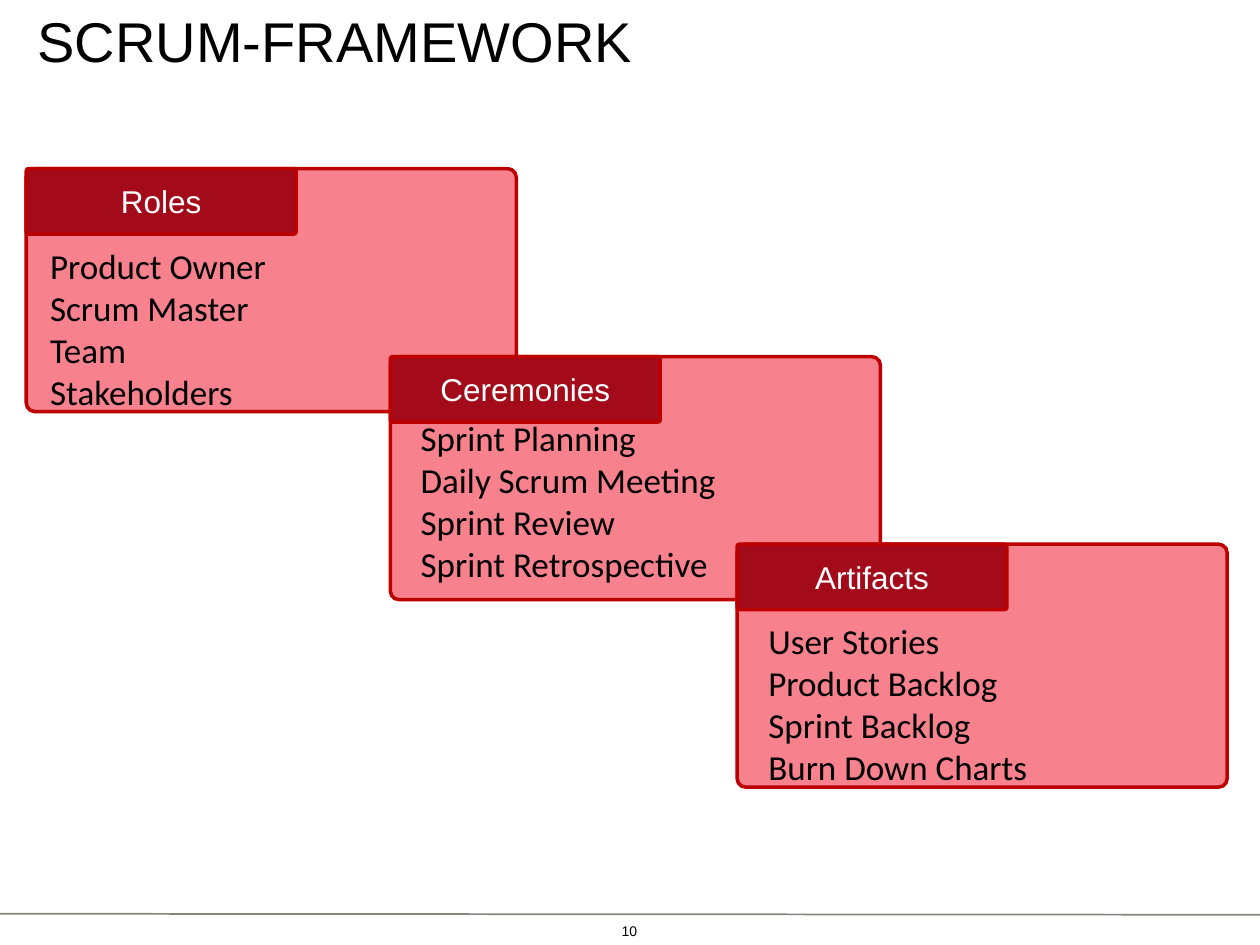
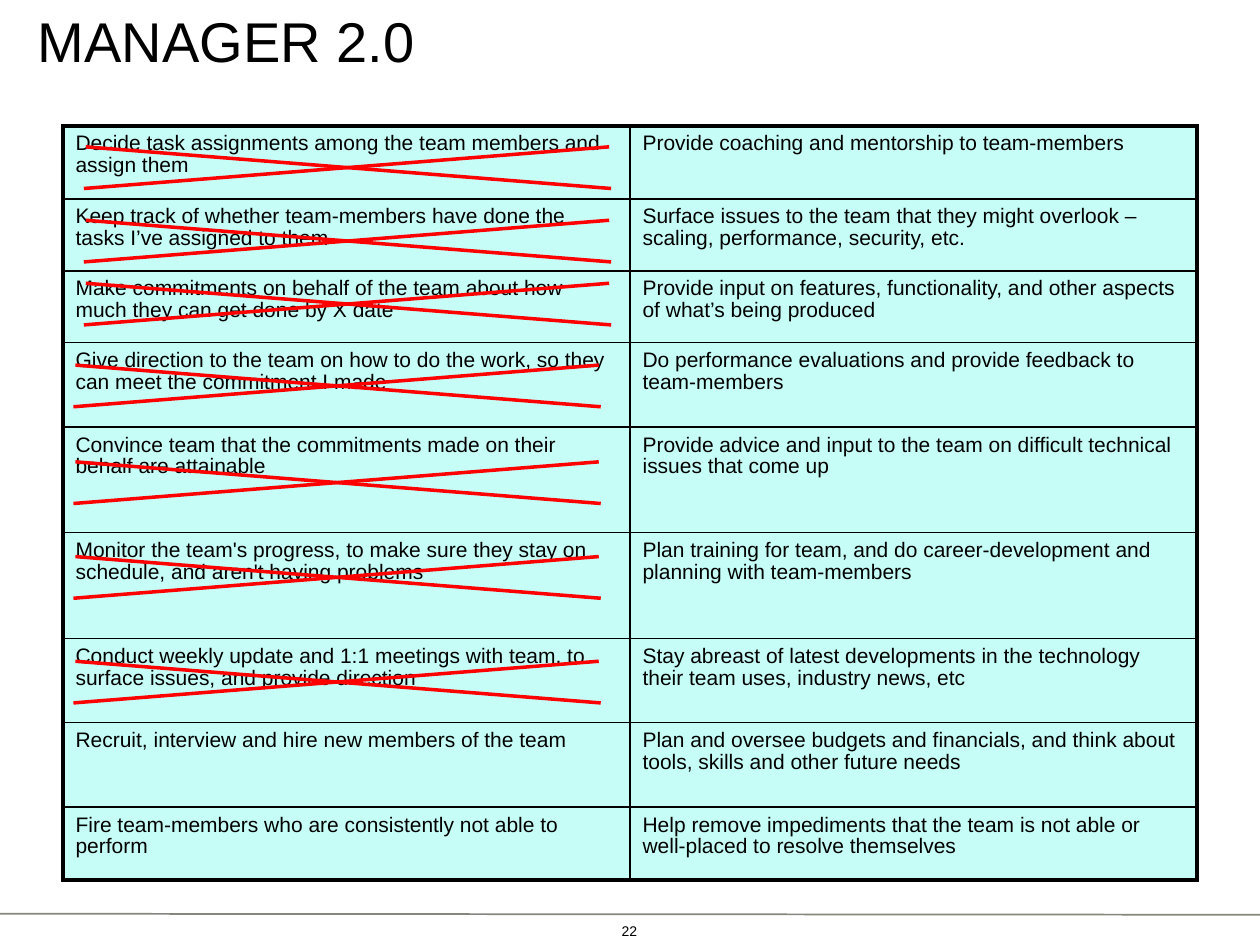
from dataclasses import dataclass

from lxml import etree
from pptx import Presentation
from pptx import util as u
from pptx.dml import color
from pptx.enum import shapes, text
from pptx.oxml import ns

HUES = {
    "ink": "000000", "white": "FFFFFF", "rule": "87867E",
    "card": "F7818D", "tab": "A30B1A", "edge": "BC0000",
    "cell": "C6FEF7", "cross": "FF0000",
}
THICK, THIN = 2.15, 0.91


@dataclass
class Card:
    """One framework part; places and sizes in centimetres."""
    name: str
    left: float
    top: float
    items: list[str]
    indent: float
    drop: float
    width: float


@dataclass
class Duty:
    """A table row; a cross at (cross_x, cross_y) strikes the old duty."""
    old: str
    new: str
    height: float
    cross_x: float = 0
    cross_y: float = 0


CARDS = [
    Card("Roles", 0.53, 3.4,
         ["Product Owner", "Scrum Master", "Team", "Stakeholders"],
         0.23, 1.4, 7.7),
    Card("Ceremonies", 7.87, 7.19,
         ["Sprint Planning", "Daily Scrum Meeting", "Sprint Review", "Sprint Retrospective"],
         0.36, 1.09, 8.69),
    Card("Artifacts", 14.86, 10.97,
         ["User Stories", "Product Backlog", "Sprint Backlog", "Burn Down Charts"],
         0.38, 1.4, 8.51),
]

DUTIES = [
    Duty("Decide task assignments among the team members and assign them",
         "Provide coaching and mentorship to team-members", 1.47, 1.73, 2.96),
    Duty("Keep track of whether team-members have done the tasks I’ve assigned to them",
         "Surface issues to the team that they might overlook – scaling, performance, security, etc.",
         1.45, 1.73, 4.44),
    Duty("Make commitments on behalf of the team about how much they can get done by X date",
         "Provide input on features, functionality, and other aspects of what’s being produced",
         1.45, 1.73, 5.71),
    Duty("Give direction to the team on how to do the work, so they can meet the commitment I made",
         "Do performance evaluations and provide feedback to team-members", 1.7, 1.52, 7.36),
    Duty("Convince team that the commitments made on their behalf are attainable",
         "Provide advice and input to the team on difficult technical issues that come up",
         2.13, 1.52, 9.31),
    Duty("Monitor the team's progress, to make sure they stay on schedule, and aren't having problems",
         "Plan training for team, and do career-development and planning with team-members",
         2.13, 1.52, 11.22),
    Duty("Conduct weekly update and 1:1 meetings with team, to surface issues, and provide direction",
         "Stay abreast of latest developments in the technology their team uses, industry news, etc",
         1.7, 1.52, 13.33),
    Duty("Recruit, interview and hire new members of the team",
         "Plan and oversee budgets and financials, and think about tools, skills and other future needs",
         1.7),
    Duty("Fire team-members who are consistently not able to perform",
         "Help remove impediments that the team is not able or well-placed to resolve themselves",
         1.47),
]


def hue(name: str) -> color.RGBColor:
    return color.RGBColor.from_string(HUES[name])


def write(frame, lines: list[str], size: float, font: str = "Arial", ink: str = "ink",
          align=text.PP_ALIGN.LEFT, anchor=text.MSO_ANCHOR.TOP,
          space: float = 1.0, inset: float | None = None) -> None:
    frame.word_wrap = True
    frame.vertical_anchor = anchor
    if inset is not None:
        frame.margin_left = frame.margin_right = u.Cm(inset)
        frame.margin_top = frame.margin_bottom = u.Cm(inset)
    for i, line in enumerate(lines):
        para = frame.paragraphs[0] if i == 0 else frame.add_paragraph()
        para.alignment = align
        para.line_spacing = space
        run = para.add_run()
        run.text = line
        run.font.size = u.Pt(size)
        run.font.name = font
        run.font.color.rgb = hue(ink)


def add_box(slide, left: float, top: float, width: float, height: float):
    box = slide.shapes.add_textbox(u.Cm(left), u.Cm(top), u.Cm(width), u.Cm(height))
    return box.text_frame


def add_line(group, start: tuple[float, float], end: tuple[float, float],
             ink: str, width: float) -> None:
    line = group.add_connector(shapes.MSO_CONNECTOR.STRAIGHT,
                               *(u.Cm(n) for n in (*start, *end)))
    line.line.color.rgb = hue(ink)
    line.line.width = u.Pt(width)
    etree.SubElement(line.element.spPr, ns.qn("a:effectLst"))


def add_panel(slide, card: Card, width: float, height: float, fill: str):
    panel = slide.shapes.add_shape(shapes.MSO_SHAPE.ROUNDED_RECTANGLE, u.Cm(card.left),
                                   u.Cm(card.top), u.Cm(width), u.Cm(height))
    panel.adjustments[0] = 0.036
    panel.shadow.inherit = False
    panel.fill.solid()
    panel.fill.fore_color.rgb = hue(fill)
    panel.line.color.rgb = hue("edge")
    panel.line.width = u.Pt(2)
    return panel.text_frame


def add_page(deck, title: str, number: int):
    """Add a blank slide with the shared title, footer rule and page number."""
    slide = deck.slides.add_slide(deck.slide_layouts[6])
    add_line(slide.shapes, (0, 18.42), (25.4, 18.44), "rule", 1)
    write(add_box(slide, 11.94, 18.49, 1.5, 0.56), [str(number)], 8, inset=0,
          align=text.PP_ALIGN.CENTER, anchor=text.MSO_ANCHOR.MIDDLE)
    write(add_box(slide, 0.51, 0, 21.82, 1.93), [title], 32)
    return slide


def add_cards(slide) -> None:
    for card in CARDS:
        add_panel(slide, card, 9.88, 4.9, "card")
    for card in CARDS:
        write(add_panel(slide, card, 5.44, 1.32, "tab"), [card.name], 18, ink="white",
              align=text.PP_ALIGN.CENTER, anchor=text.MSO_ANCHOR.MIDDLE)
    for card in CARDS:
        frame = add_box(slide, card.left + card.indent, card.top + card.drop, card.width, 3.63)
        write(frame, card.items, 20, font="Calibri")


def set_edge(cell, side: str, width: float) -> None:
    props = cell._tc.get_or_add_tcPr()
    edge = etree.SubElement(props, ns.qn(f"a:ln{side}"), w=str(u.Pt(width)))
    fill = etree.SubElement(edge, ns.qn("a:solidFill"))
    etree.SubElement(fill, ns.qn("a:srgbClr"), val=HUES["ink"])


def add_grid(slide) -> None:
    rows = len(DUTIES)
    height = sum(duty.height for duty in DUTIES)
    grid = slide.shapes.add_table(rows, 2, u.Cm(1.27), u.Cm(2.54),
                                  u.Cm(22.86), u.Cm(height)).table
    grid.first_row = grid.horz_banding = False
    for r, duty in enumerate(DUTIES):
        grid.rows[r].height = u.Cm(duty.height)
        for c, words in enumerate((duty.old, duty.new)):
            cell = grid.cell(r, c)
            outer = {"L": c == 0, "R": c == 1, "T": r == 0, "B": r == rows - 1}
            for side, thick in outer.items():
                set_edge(cell, side, THICK if thick else THIN)
            cell.fill.solid()
            cell.fill.fore_color.rgb = hue("cell")
            cell.margin_top = u.Cm(0.15)
            write(cell.text_frame, [words], 12, space=0.93)


def add_cross(slide, left: float, top: float) -> None:
    width, height, shift = 10.59, 0.84, 0.04
    group = slide.shapes.add_group_shape().shapes
    add_line(group, (left, top), (left + width, top + height), "cross", 2)
    add_line(group, (left - shift, top + height), (left + width - shift, top), "cross", 2)


def main() -> None:
    deck = Presentation()
    deck.slide_width, deck.slide_height = u.Cm(25.4), u.Cm(19.05)
    add_cards(add_page(deck, "SCRUM-FRAMEWORK", 10))
    slide = add_page(deck, "MANAGER 2.0", 22)
    add_grid(slide)
    for duty in DUTIES:
        if duty.cross_y:
            add_cross(slide, duty.cross_x, duty.cross_y)
    deck.save("out.pptx")


if __name__ == "__main__":
    main()
